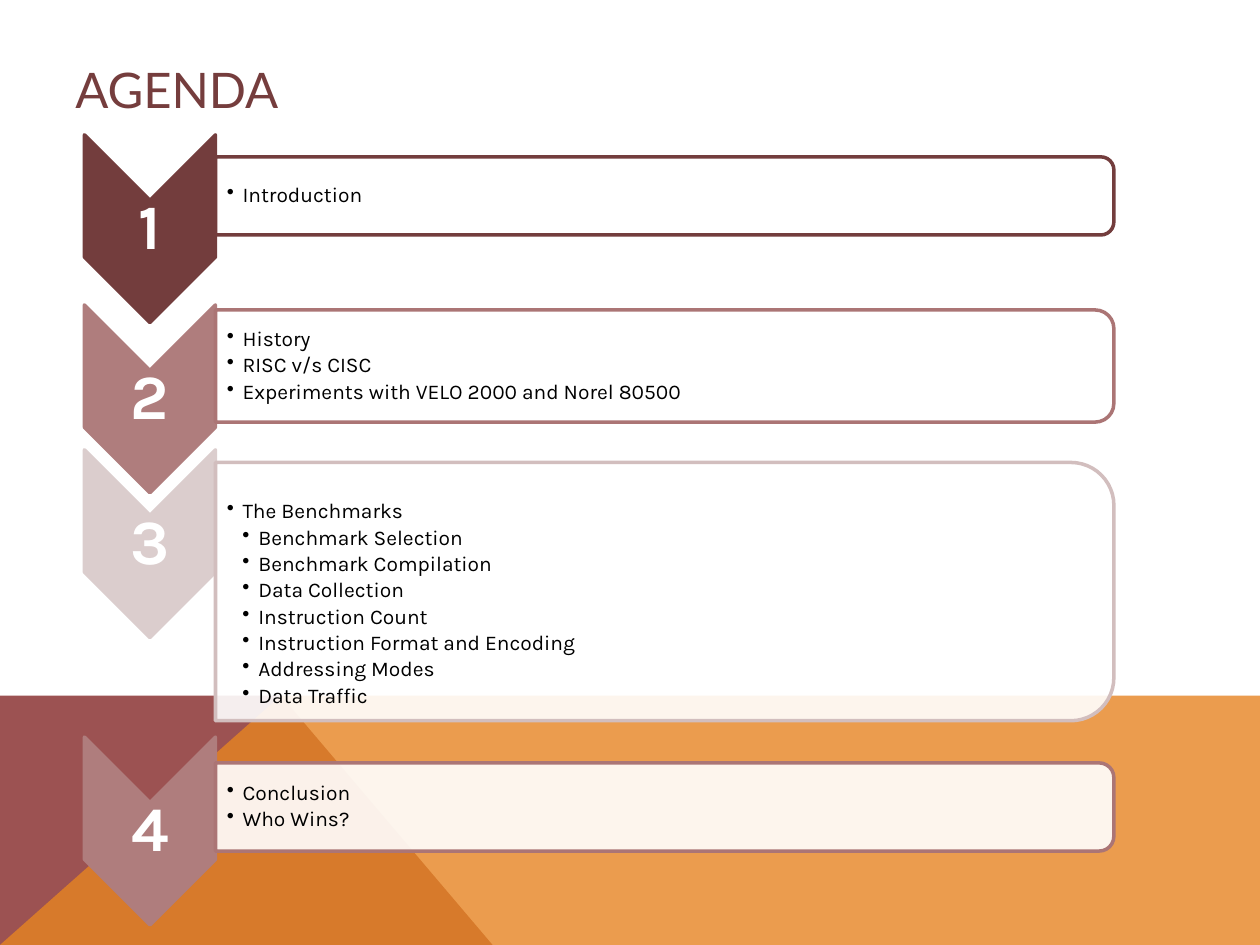
from dataclasses import dataclass

from lxml import etree
from pptx import Presentation
from pptx import util as u
from pptx.dml.color import RGBColor
from pptx.enum import shapes, text
from pptx.oxml import ns

COLORS = {
    "maroon": "9C5252",
    "orange": "E68422",
    "title": "753D3D",
    "dark": "733D3D",
    "rose": "AF7D7D",
    "rose_line": "AB7575",
    "pale": "DBCDCD",
    "pale_line": "D2BEBE",
    "white": "FFFFFF",
    "black": "000000",
}

CHEVRON_LENGTH, CHEVRON_WIDTH = 1.49, 1.04
CHEVRON_LEFT = 0.67
FRAME_LEFT, FRAME_WIDTH = 1.71, 7.13
BULLET_INDENT = 0.125


@dataclass
class Section:
    chevron_top: float
    frame_middle: float
    frame_height: float
    fill: str
    line: str
    items: list[str]
    subitems: tuple[str, ...] = ()
    text_drop: float = 0


SECTIONS = [
    Section(1.07, 1.555, 0.62, "dark", "dark", ["Introduction"]),
    Section(2.42, 2.905, 0.89, "rose", "rose_line",
            ["History", "RISC v/s CISC", "Experiments with VELO 2000 and Norel 80500"]),
    Section(3.57, 4.695, 2.05, "pale", "pale_line", ["The Benchmarks"],
            ("Benchmark Selection", "Benchmark Compilation", "Data Collection",
             "Instruction Count", "Instruction Format and Encoding",
             "Addressing Modes", "Data Traffic"), text_drop=0.1),
    Section(5.85, 6.405, 0.7, "rose", "rose_line", ["Conclusion", "Who Wins?"]),
]


def rgb(name: str) -> RGBColor:
    return RGBColor.from_string(COLORS[name])


def paint(shape, fill: str, line: str | None = None, opacity: int = 100) -> None:
    shape.shadow.inherit = False
    shape.fill.solid()
    shape.fill.fore_color.rgb = rgb(fill)
    if opacity < 100:
        color = shape.fill._xPr.find(".//" + ns.qn("a:srgbClr"))
        etree.SubElement(color, ns.qn("a:alpha"), val=str(opacity * 1000))
    if line:
        shape.line.color.rgb = rgb(line)
        shape.line.width = u.Pt(2)
    else:
        shape.line.fill.background()


def add_polygon(slide, points: list[tuple[float, float]], fill: str, opacity: int = 100) -> None:
    corners = [(u.Inches(x), u.Inches(y)) for x, y in points]
    builder = slide.shapes.build_freeform(*corners[0])
    builder.add_line_segments(corners[1:], close=True)
    paint(builder.convert_to_shape(), fill, opacity=opacity)


def add_turned_shape(slide, kind, left: float, top: float, width: float, height: float):
    """Add a shape turned by 90 degrees that covers the given area."""
    shape = slide.shapes.add_shape(
        kind,
        u.Inches(left + (width - height) / 2), u.Inches(top + (height - width) / 2),
        u.Inches(height), u.Inches(width))
    shape.rotation = 90
    return shape


def add_text_frame(slide, left: float, top: float, width: float, height: float,
                   insets: tuple[float, float, float, float]):
    box = slide.shapes.add_textbox(
        u.Inches(left), u.Inches(top), u.Inches(width), u.Inches(height))
    frame = box.text_frame
    frame.word_wrap = True
    frame.vertical_anchor = text.MSO_ANCHOR.MIDDLE
    frame.margin_left, frame.margin_top, frame.margin_right, frame.margin_bottom = map(
        u.Inches, insets)
    return frame


def set_font(paragraph, name: str, size: int, color: str, bold: bool = False) -> None:
    paragraph.font.name = name
    paragraph.font.size = u.Pt(size)
    paragraph.font.bold = bold
    paragraph.font.color.rgb = rgb(color)


def add_bullet(paragraph, words: str, level: int) -> None:
    paragraph.text = words
    paragraph.level = level
    paragraph.line_spacing = 0.9
    paragraph.space_after = u.Pt(2.1)
    properties = paragraph._p.get_or_add_pPr()
    properties.set("marL", str(u.Inches(BULLET_INDENT * level)))
    properties.set("indent", str(-u.Inches(BULLET_INDENT)))
    etree.SubElement(properties, ns.qn("a:buChar"), char="•")
    set_font(paragraph, "Karla", 12, "black")


def add_section(slide, number: int, section: Section) -> None:
    # Numbered chevron
    chevron = add_turned_shape(slide, shapes.MSO_SHAPE.CHEVRON, CHEVRON_LEFT,
                               section.chevron_top, CHEVRON_WIDTH, CHEVRON_LENGTH)
    paint(chevron, section.fill, section.fill)
    frame = add_text_frame(slide, CHEVRON_LEFT, section.chevron_top + 0.52,
                           CHEVRON_WIDTH, 0.45, (0.03,) * 4)
    paragraph = frame.paragraphs[0]
    paragraph.text = str(number)
    paragraph.alignment = text.PP_ALIGN.CENTER
    paragraph.line_spacing = 0.9
    set_font(paragraph, "Karla", 36, "white", bold=True)

    # Frame with bullets
    top = section.frame_middle - section.frame_height / 2
    panel = add_turned_shape(slide, shapes.MSO_SHAPE.ROUND_2_SAME_RECTANGLE, FRAME_LEFT,
                             top, FRAME_WIDTH, section.frame_height)
    paint(panel, "white", section.line, opacity=90)
    frame = add_text_frame(slide, FRAME_LEFT, top + section.text_drop + 0.03, 7.1,
                           section.frame_height - 0.06, (0.09, 0.01, 0.01, 0.01))
    bullets = [(item, 1) for item in section.items] + [(item, 2) for item in section.subitems]
    for index, (words, level) in enumerate(bullets):
        paragraph = frame.add_paragraph() if index else frame.paragraphs[0]
        add_bullet(paragraph, words, level)


def main() -> None:
    presentation = Presentation()
    presentation.slide_width, presentation.slide_height = u.Inches(10), u.Inches(7.5)
    slide = presentation.slides.add_slide(presentation.slide_layouts[6])

    # Background bands
    add_polygon(slide, [(0, 7.5), (0, 5.52), (2.23, 5.52), (3.91, 7.5)], "maroon")
    add_polygon(slide, [(0, 7.5), (2.23, 5.52), (10, 5.52), (10, 7.5)], "orange", opacity=80)

    # Title
    title = add_text_frame(slide, 0.5, 0.08, 8.17, 1.25, (0.1, 0.05, 0.1, 0.05)).paragraphs[0]
    title.text = "AGENDA"
    set_font(title, "Lato", 28, "title")

    # Agenda sections
    for number, section in enumerate(SECTIONS, start=1):
        add_section(slide, number, section)

    presentation.save("out.pptx")


if __name__ == "__main__":
    main()
